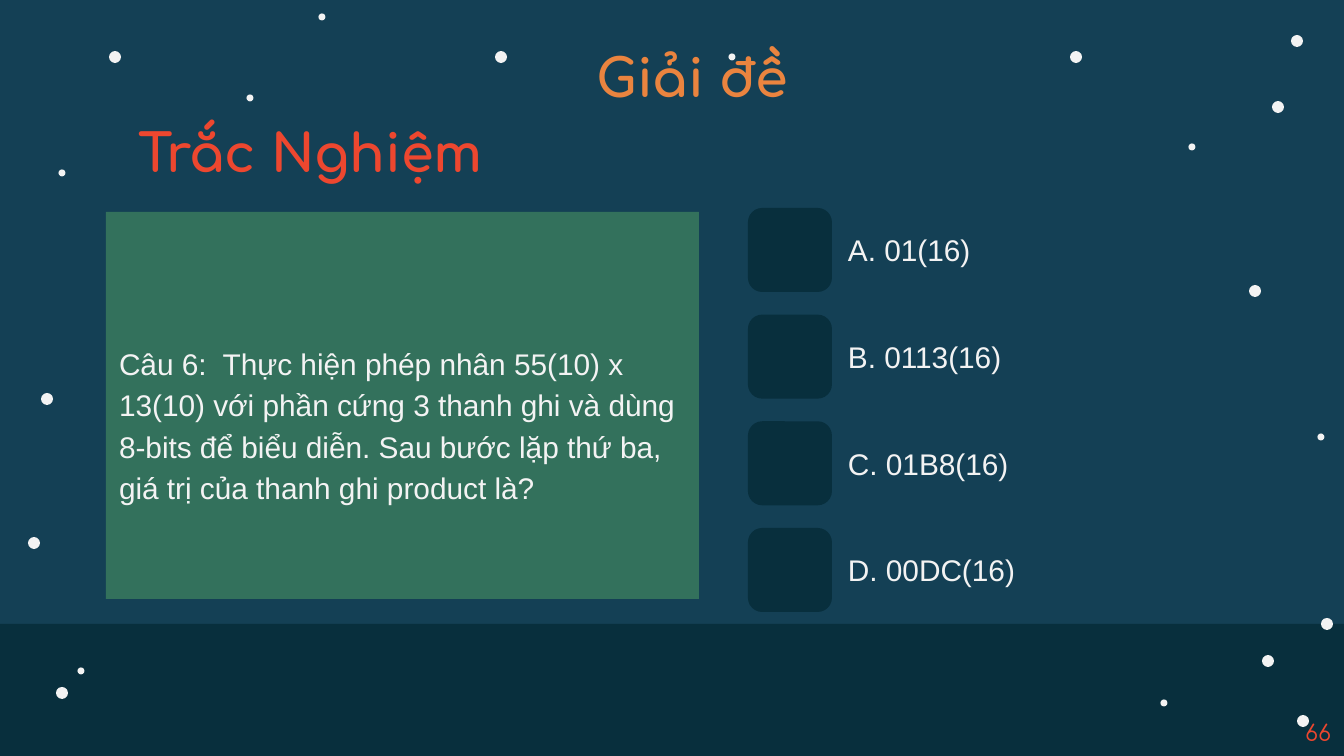
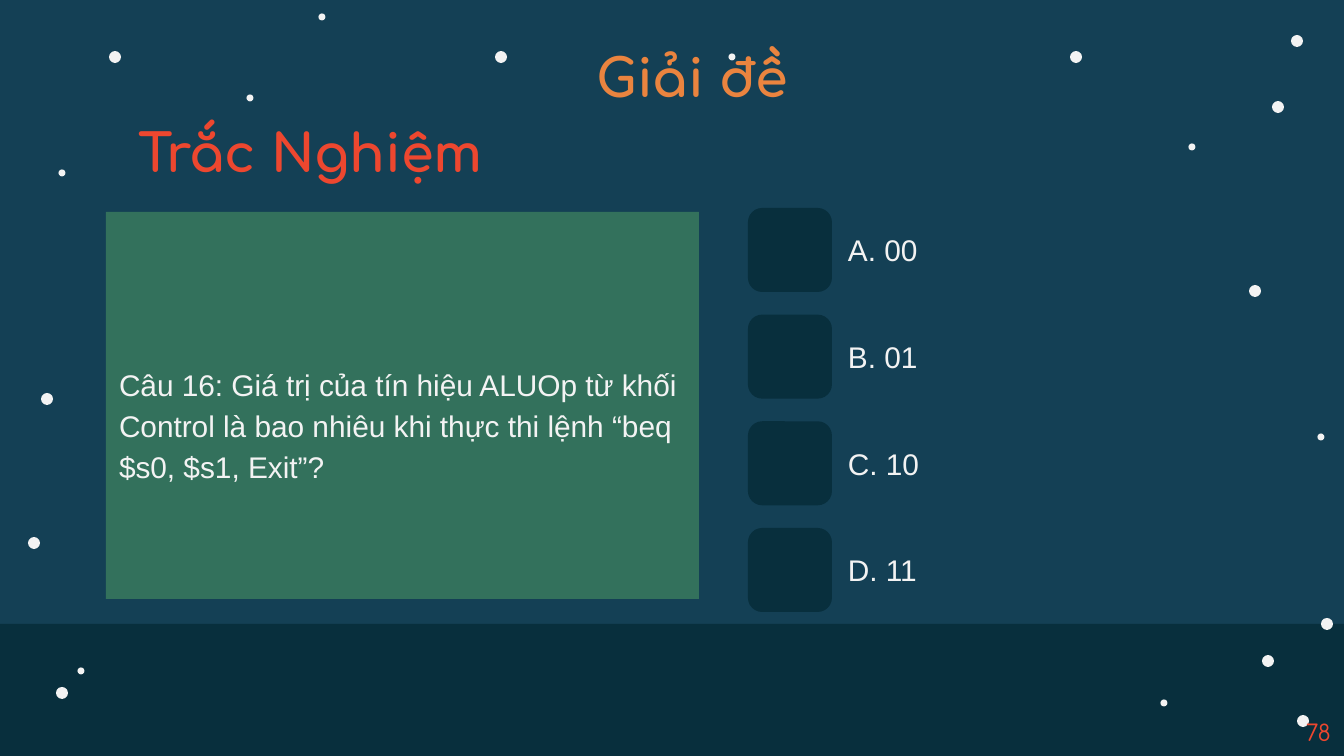
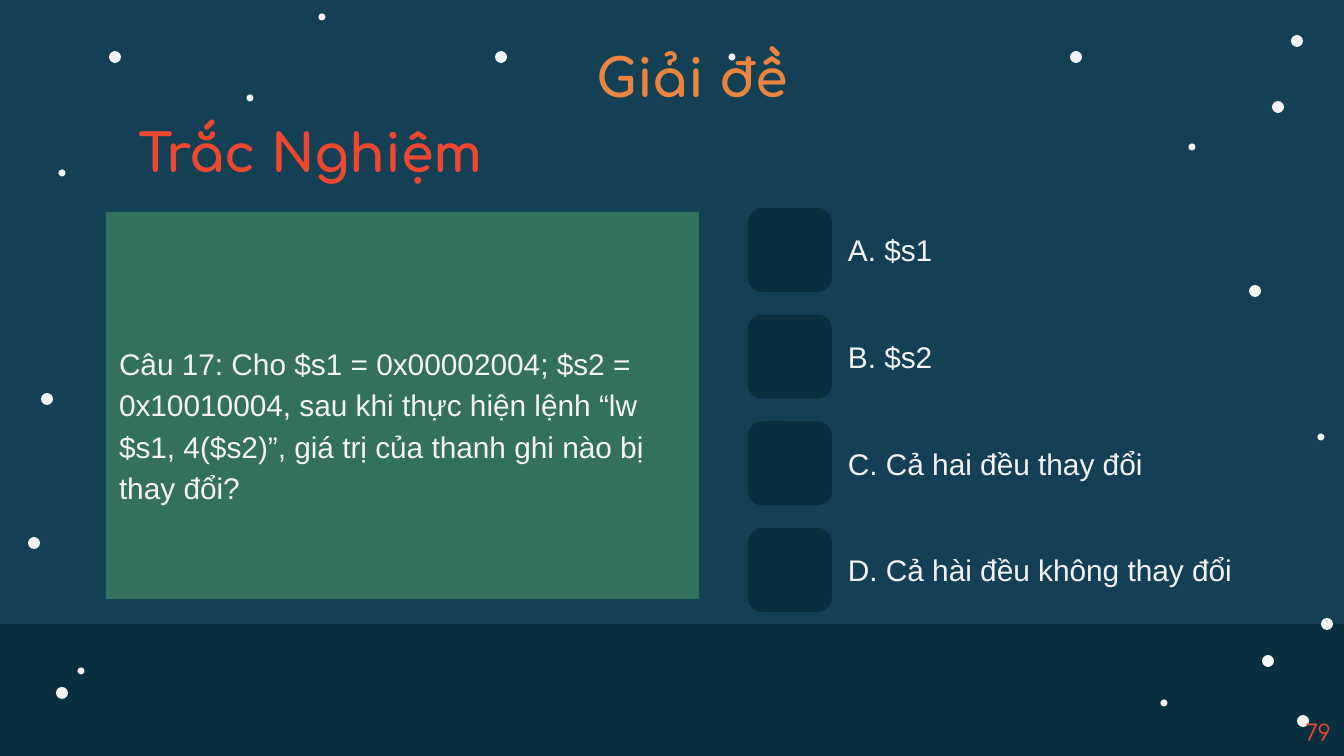
from dataclasses import dataclass

from pptx import Presentation
from pptx.dml.color import RGBColor
from pptx.enum.shapes import MSO_SHAPE
from pptx.enum.text import MSO_ANCHOR, MSO_AUTO_SIZE, PP_ALIGN
from pptx.util import Pt

# Content
TITLE = "Giải đề"
SECTION = "Trắc Nghiệm"
QUESTIONS = [
    {
        "page": "66",
        "question": "Câu 6:  Thực hiện phép nhân 55(10) x 13(10) với phần cứng 3 thanh ghi "
                    "và dùng 8-bits để biểu diễn. Sau bước lặp thứ ba, giá trị của "
                    "thanh ghi product là?",
        "answers": ["A. 01(16)", "B. 0113(16)", "C. 01B8(16)", "D. 00DC(16)"],
    },
    {
        "page": "78",
        "question": "Câu 16: Giá trị của tín hiệu ALUOp từ khối Control là bao nhiêu "
                    "khi thực thi lệnh “beq $s0, $s1, Exit”?",
        "answers": ["A. 00", "B. 01", "C. 10", "D. 11"],
    },
    {
        "page": "79",
        "question": "Câu 17: Cho $s1 = 0x00002004; $s2 = 0x10010004, sau khi thực hiện "
                    "lệnh “lw $s1, 4($s2)”, giá trị của thanh ghi nào bị thay đổi?",
        "answers": ["A. $s1", "B. $s2", "C. Cả hai đều thay đổi",
                    "D. Cả hài đều không thay đổi"],
    },
]


@dataclass(frozen=True)
class Theme:
    sky: str = "144055"
    ground: str = "082F3D"
    snow: str = "F3F3F3"
    panel: str = "33715C"
    orange: str = "EA843F"
    red: str = "ED472F"
    heading_font: str = "Comfortaa"
    body_font: str = "Arial"
    heading_size: int = 28
    body_size: int = 16
    page_size: int = 12


THEME = Theme()

# Layout in px
WIDTH, HEIGHT = 1344, 756
SCALE = 914400 / 134.4
GROUND_TOP = 624
TITLE_BOX = (126, 35, 1133, 84)
SECTION_BOX = (126, 113, 672, 76)
QUESTION_BOX = (106, 212, 593, 387)
PAGE_BOX = (1042, 712, 302, 41)
TILE_LEFT, TILE_SIZE = 748, 84
FIRST_TILE, LAST_TILE = 208, 528
ANSWER_LEFT, ANSWER_HEIGHT = 848, 59
ANSWER_WIDTH, LONG_ANSWER_WIDTH, LONG_ANSWER = 341, 400, 25

# Snowflake centres by diameter
SNOW = {
    12: [(115, 57), (1255, 291), (1076, 57), (1297, 41), (501, 57), (1303, 721),
         (47, 399), (1278, 107), (1268, 661), (1327, 624), (34, 543), (62, 693)],
    7: [(62, 173), (1192, 147), (1164, 703), (81, 671), (732, 57), (322, 17),
        (250, 98), (1321, 437)],
}


def px(value):
    return round(value * SCALE)


def add_block(shapes, kind, box, color):
    block = shapes.add_shape(kind, *map(px, box))
    block.shadow.inherit = False
    block.fill.solid()
    block.fill.fore_color.rgb = RGBColor.from_string(color)
    block.line.fill.background()
    return block


def write(shape, text, *, color=THEME.snow, size=THEME.body_size, font=THEME.body_font,
          bold=False, align=PP_ALIGN.LEFT, anchor=MSO_ANCHOR.MIDDLE,
          insets=(13, 7, 13, 7), line_spacing=None, space_after=None,
          auto_size=MSO_AUTO_SIZE.NONE):
    frame = shape.text_frame
    frame.word_wrap = True
    frame.auto_size = auto_size
    frame.vertical_anchor = anchor
    (frame.margin_left, frame.margin_top,
     frame.margin_right, frame.margin_bottom) = map(px, insets)
    paragraph = frame.paragraphs[0]
    paragraph.alignment = align
    paragraph.line_spacing = line_spacing
    if space_after is not None:
        paragraph.space_after = Pt(space_after)
    run = paragraph.add_run()
    run.text = text
    run.font.name = font
    run.font.size = Pt(size)
    run.font.bold = bold
    run.font.color.rgb = RGBColor.from_string(color)


def add_text(slide, box, text, **text_format):
    write(slide.shapes.add_textbox(*map(px, box)), text, **text_format)


def add_scenery(slide):
    slide.background.fill.solid()
    slide.background.fill.fore_color.rgb = RGBColor.from_string(THEME.sky)
    add_block(slide.shapes, MSO_SHAPE.RECTANGLE,
              (0, GROUND_TOP, WIDTH, HEIGHT - GROUND_TOP), THEME.ground)
    snowfall = slide.shapes.add_group_shape()
    for diameter, centres in SNOW.items():
        for x, y in centres:
            add_block(snowfall.shapes, MSO_SHAPE.OVAL,
                      (x - diameter / 2, y - diameter / 2, diameter, diameter),
                      THEME.snow)


def add_headings(slide, page):
    heading = {"font": THEME.heading_font, "size": THEME.heading_size, "bold": True}
    add_text(slide, TITLE_BOX, TITLE, color=THEME.orange, align=PP_ALIGN.CENTER,
             insets=(13, 13, 13, 13), **heading)
    add_text(slide, SECTION_BOX, SECTION, color=THEME.red, anchor=MSO_ANCHOR.TOP,
             auto_size=MSO_AUTO_SIZE.SHAPE_TO_FIT_TEXT, **heading)
    add_text(slide, PAGE_BOX, page, color=THEME.red, size=THEME.page_size,
             font=THEME.heading_font, align=PP_ALIGN.RIGHT)


def add_answers(slide, answers):
    pitch = (LAST_TILE - FIRST_TILE) / (len(answers) - 1)
    for row, answer in enumerate(answers):
        top = FIRST_TILE + row * pitch
        tile = add_block(slide.shapes, MSO_SHAPE.ROUNDED_RECTANGLE,
                         (TILE_LEFT, top, TILE_SIZE, TILE_SIZE), THEME.ground)
        tile.adjustments[0] = 0.17
        width = LONG_ANSWER_WIDTH if len(answer) > LONG_ANSWER else ANSWER_WIDTH
        answer_top = top + (TILE_SIZE - ANSWER_HEIGHT) / 2
        add_text(slide, (ANSWER_LEFT, answer_top, width, ANSWER_HEIGHT), answer,
                 insets=(0, 0, 0, 0))


def main():
    prs = Presentation()
    prs.slide_width, prs.slide_height = px(WIDTH), px(HEIGHT)
    blank = prs.slide_layouts[6]
    for item in QUESTIONS:
        slide = prs.slides.add_slide(blank)
        add_scenery(slide)
        add_answers(slide, item["answers"])
        panel = add_block(slide.shapes, MSO_SHAPE.RECTANGLE, QUESTION_BOX, THEME.panel)
        write(panel, item["question"], insets=(13, 35, 13, 0),
              line_spacing=1.15, space_after=16)
        add_headings(slide, item["page"])
    prs.save("out.pptx")


if __name__ == "__main__":
    main()
